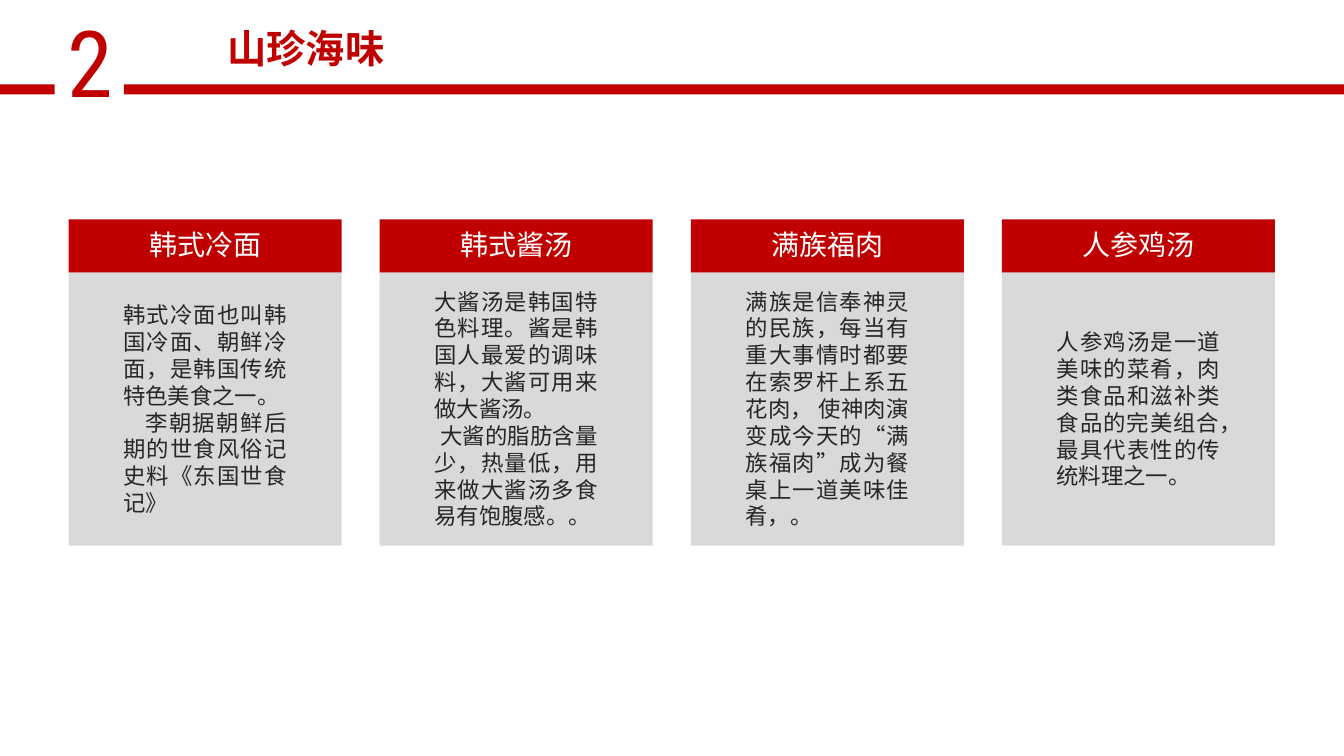
import pptx
import pptx.util
import pptx.dml.color
import pptx.enum.shapes
import pptx.enum.text
from lxml import etree
from pptx.util import Cm

# Content
SECTION_NUMBER = "2"
SECTION_TITLE = "山珍海味"
# Dish name, number of text rows, paragraphs as (first-line indent in cm, text)
DISHES = [
    ("韩式冷面", 8, [
        (0, "韩式冷面也叫韩国冷面、朝鲜冷面，是韩国传统特色美食之一。"),
        (0.55, "李朝据朝鲜后期的世食风俗记史料《东国世食记》"),
    ]),
    ("韩式酱汤", 9, [
        (0, "大酱汤是韩国特色料理。酱是韩国人最爱的调味料，大酱可用来做大酱汤。"),
        (0.15, "大酱的脂肪含量少，热量低，用来做大酱汤多食易有饱腹感。。"),
    ]),
    ("满族福肉", 9, [
        (0, "满族是信奉神灵的民族，每当有重大事情时都要在索罗杆上系五花肉， "
            "使神肉演变成今天的“满族福肉”成为餐桌上一道美味佳肴，。"),
    ]),
    ("人参鸡汤", 6, [
        (0, "人参鸡汤是一道美味的菜肴，肉类食品和滋补类食品的完美组合，最具代表性的传统料理之一。"),
    ]),
]

# Style
RED, GREY, WHITE, INK = "C00000", "D9D9D9", "FFFFFF", "262626"
HAN, DIGIT = "Noto Sans CJK SC", "Roboto Condensed"
ALIGN = pptx.enum.text.PP_ALIGN

# Layout, in centimetres
CARD_LEFT, CARD_TOP, CARD_WIDTH, CARD_PITCH = 1.73, 5.53, 6.88, 7.84
HEAD_HEIGHT, BODY_HEIGHT = 1.34, 6.88
TEXT_WIDTH, NAME_HEIGHT = 4.62, 1.17
ROW_HEIGHT, TEXT_MARGINS = 0.68, 0.25

deck = pptx.Presentation()
deck.slide_width, deck.slide_height = Cm(33.87), Cm(19.05)
slide = deck.slides.add_slide(deck.slide_layouts[6])


def color(hex_code):
    return pptx.dml.color.RGBColor.from_string(hex_code)


def add_bar(left, top, width, height, fill):
    bar = slide.shapes.add_shape(pptx.enum.shapes.MSO_SHAPE.RECTANGLE,
                                 Cm(left), Cm(top), Cm(width), Cm(height))
    bar.shadow.inherit = False
    bar.fill.solid()
    bar.fill.fore_color.rgb = color(fill)
    bar.line.fill.background()


def add_text(left, top, width, height, paragraphs, size, ink,
             align=ALIGN.CENTER, font=HAN, bold=False):
    frame = slide.shapes.add_textbox(Cm(left), Cm(top), Cm(width), Cm(height)).text_frame
    frame.word_wrap = True
    for index, (indent, text) in enumerate(paragraphs):
        paragraph = frame.add_paragraph() if index else frame.paragraphs[0]
        paragraph.text = text
        paragraph.alignment = align
        paragraph.font.size = pptx.util.Pt(size)
        paragraph.font.bold = bold
        paragraph.font.color.rgb = color(ink)
        paragraph.font.name = font
        # First-line indent and East Asian typeface
        properties = paragraph._p.get_or_add_pPr()
        properties.set("indent", str(Cm(indent)))
        latin = properties.find(".//" + pptx.oxml.ns.qn("a:latin"))
        east_asian = etree.Element(pptx.oxml.ns.qn("a:ea"), typeface=font)
        latin.addnext(east_asian)


# Section heading
add_text(1.45, 0, 1.7, 3.07, [(0, SECTION_NUMBER)], 66, RED, ALIGN.LEFT, DIGIT)
add_bar(3.12, 2.13, 30.75, 0.25, RED)
add_bar(-0.07, 2.13, 1.45, 0.25, RED)
add_text(3.15, 0.48, 9.12, 1.52, [(0, SECTION_TITLE)], 28, RED, bold=True)

# Dish cards
body_top = CARD_TOP + HEAD_HEIGHT
for column, (dish, rows, description) in enumerate(DISHES):
    card_left = CARD_LEFT + column * CARD_PITCH
    text_left = card_left + (CARD_WIDTH - TEXT_WIDTH) / 2
    text_height = rows * ROW_HEIGHT + TEXT_MARGINS
    add_bar(card_left, CARD_TOP, CARD_WIDTH, HEAD_HEIGHT, RED)
    add_bar(card_left, body_top, CARD_WIDTH, BODY_HEIGHT, GREY)
    add_text(text_left, CARD_TOP + (HEAD_HEIGHT - NAME_HEIGHT) / 2,
             TEXT_WIDTH, NAME_HEIGHT, [(0, dish)], 20, WHITE)
    add_text(text_left, body_top + (BODY_HEIGHT - text_height) / 2,
             TEXT_WIDTH, text_height, description, 16, INK, ALIGN.JUSTIFY)

deck.save("out.pptx")
